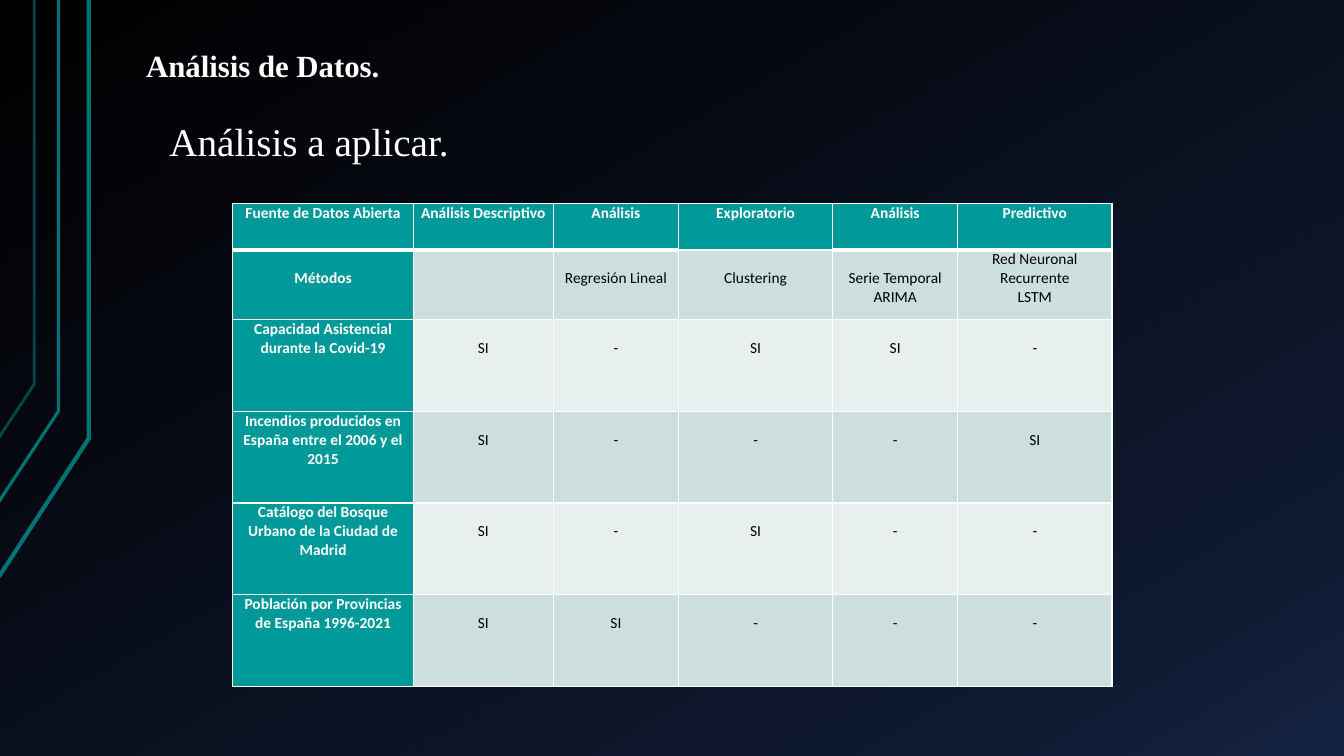
from pptx import Presentation
from pptx.dml.color import RGBColor
from pptx.enum.text import MSO_ANCHOR, MSO_AUTO_SIZE, PP_ALIGN
from pptx.oxml import parse_xml
from pptx.oxml.ns import nsdecls, qn
from pptx.util import Inches, Pt
from copy import deepcopy
from lxml.etree import SubElement

WHITE, BLACK, TEAL, LINE_TEAL = "FFFFFF", "000000", "009999", "007373"
BANDS = ["E7EFEF", "CCDEDE"]
BACKGROUND = [(0, "000000"), (0.85, "0F1931"), (1, "142242")]

# Points of each line, width in points, opacity in percent
SIDE_LINES = [
    ([(-0.01, 5.72), (0.88, 4.35), (0.88, 0)], 3, 100),
    ([(-0.02, 4.99), (0.58, 4.08), (0.58, 0)], 2.25, 100),
    ([(-0.01, 4.34), (0.34, 3.81), (0.34, 0)], 2, 60),
]

COLUMN_WIDTHS = [1.79, 1.39, 1.24, 1.53, 1.24, 1.53]
ROW_HEIGHTS = [0.46, 0.69] + [0.91] * 4
EXPLORATORY_COLUMN = 3
LINE_HEIGHT = 0.19
ROWS = [
    ["Fuente de Datos Abierta", "Análisis Descriptivo", "Análisis",
     "Exploratorio", "Análisis", "Predictivo"],
    ["Métodos", "", "Regresión Lineal", "Clustering",
     "Serie Temporal\nARIMA", "Red Neuronal Recurrente\nLSTM"],
    ["Capacidad Asistencial durante la Covid-19", "SI", "-", "SI", "SI", "-"],
    ["Incendios producidos en España entre el 2006 y el 2015",
     "SI", "-", "-", "-", "SI"],
    ["Catálogo del Bosque Urbano de la Ciudad de Madrid",
     "SI", "-", "SI", "-", "-"],
    ["Población por Provincias de España 1996-2021",
     "SI", "SI", "-", "-", "-"],
]


def rgb(color):
    return RGBColor.from_string(color)


def style_font(font, name, size, color, bold=False):
    font.name = name
    font.size = Pt(size)
    font.bold = bold
    font.color.rgb = rgb(color)


def paint_background(page):
    fill = page.background.fill
    fill.gradient()
    fill.gradient_angle = 300
    first = fill.gradient_stops[0]._gs
    first.addnext(deepcopy(first))
    for stop, (position, color) in zip(fill.gradient_stops, BACKGROUND):
        stop.position = position
        stop.color.rgb = rgb(color)


def add_side_line(page, points, width, opacity):
    start, *rest = [(Inches(x), Inches(y)) for x, y in points]
    builder = page.shapes.build_freeform(*start)
    builder.add_line_segments(rest, close=False)
    outline = builder.convert_to_shape()
    outline.shadow.inherit = False
    outline.fill.background()
    outline.line.color.rgb = rgb(LINE_TEAL)
    outline.line.width = Pt(width)
    if opacity < 100:
        color = outline.line._get_or_add_ln().find(".//" + qn("a:srgbClr"))
        SubElement(color, qn("a:alpha"), val=str(opacity * 1000))


def fill_placeholder(box, text, place, size, anchor, bold=False, before=0):
    box.left, box.top, box.width, box.height = map(Inches, place)
    frame = box.text_frame
    frame.text = text
    frame.word_wrap = True
    frame.auto_size = MSO_AUTO_SIZE.NONE
    frame.vertical_anchor = anchor
    frame.margin_left = frame.margin_right = Inches(0.13)
    frame.margin_top = frame.margin_bottom = Inches(0.07)
    para = frame.paragraphs[0]
    para.alignment = PP_ALIGN.LEFT
    para.line_spacing = 0.9
    para.space_before = Pt(before)
    properties = para._p.get_or_add_pPr()
    properties.set("marL", "0")
    properties.set("indent", "0")
    SubElement(properties, qn("a:buNone"))
    style_font(para.runs[0].font, "Times New Roman", size, WHITE, bold)


def set_borders(cell, widths):
    """Draw white borders; widths holds points for left, right, top, bottom."""
    properties = cell._tc.get_or_add_tcPr()
    for index, (side, width) in enumerate(zip("LRTB", widths)):
        properties.insert(index, parse_xml(
            f'<a:ln{side} {nsdecls("a")} w="{Pt(width)}"><a:solidFill>'
            f'<a:srgbClr val="{WHITE}"/></a:solidFill></a:ln{side}>'))


def style_cell(cell, text, row, column):
    is_label = row == 0 or column == 0
    drops_a_line = (row, column) == (1, 0) or (
        not is_label and "LSTM" not in text)
    cell.text = text
    cell.vertical_anchor = MSO_ANCHOR.TOP
    cell.margin_left = cell.margin_right = Inches(0.07)
    cell.margin_top = Inches(LINE_HEIGHT if drops_a_line else 0)
    cell.margin_bottom = 0
    cell.fill.solid()
    cell.fill.fore_color.rgb = rgb(TEAL if is_label else BANDS[row % 2])
    for para in cell.text_frame.paragraphs:
        para.alignment = PP_ALIGN.CENTER
        color = WHITE if is_label else BLACK
        for span in para.runs:
            style_font(span.font, "Calibri", 11, color, is_label)
    rule = 1 if column == EXPLORATORY_COLUMN else 3
    set_borders(cell, [1, 1, rule if row == 1 else 1, rule if row == 0 else 1])


def add_analysis_table(page):
    table = page.shapes.add_table(
        len(ROWS), len(COLUMN_WIDTHS), Inches(2.31), Inches(2.02),
        Inches(sum(COLUMN_WIDTHS)), Inches(sum(ROW_HEIGHTS))).table
    for column, width in zip(table.columns, COLUMN_WIDTHS):
        column.width = Inches(width)
    for row, height in zip(table.rows, ROW_HEIGHTS):
        row.height = Inches(height)
    for row, texts in enumerate(ROWS):
        for column, text in enumerate(texts):
            style_cell(table.cell(row, column), text, row, column)


def main():
    deck = Presentation()
    deck.slide_width, deck.slide_height = Inches(13.33), Inches(7.5)
    page = deck.slides.add_slide(deck.slide_layouts[1])
    paint_background(page)
    for points, width, opacity in SIDE_LINES:
        add_side_line(page, points, width, opacity)
    fill_placeholder(page.shapes.title, "Análisis de Datos.",
                     (1.32, 0.28, 3.54, 0.63), 22, MSO_ANCHOR.BOTTOM, bold=True)
    fill_placeholder(page.placeholders[1], "Análisis a aplicar.",
                     (1.55, 1.15, 10.24, 0.63), 28, MSO_ANCHOR.TOP, before=16)
    add_analysis_table(page)
    deck.save("out.pptx")


if __name__ == "__main__":
    main()
